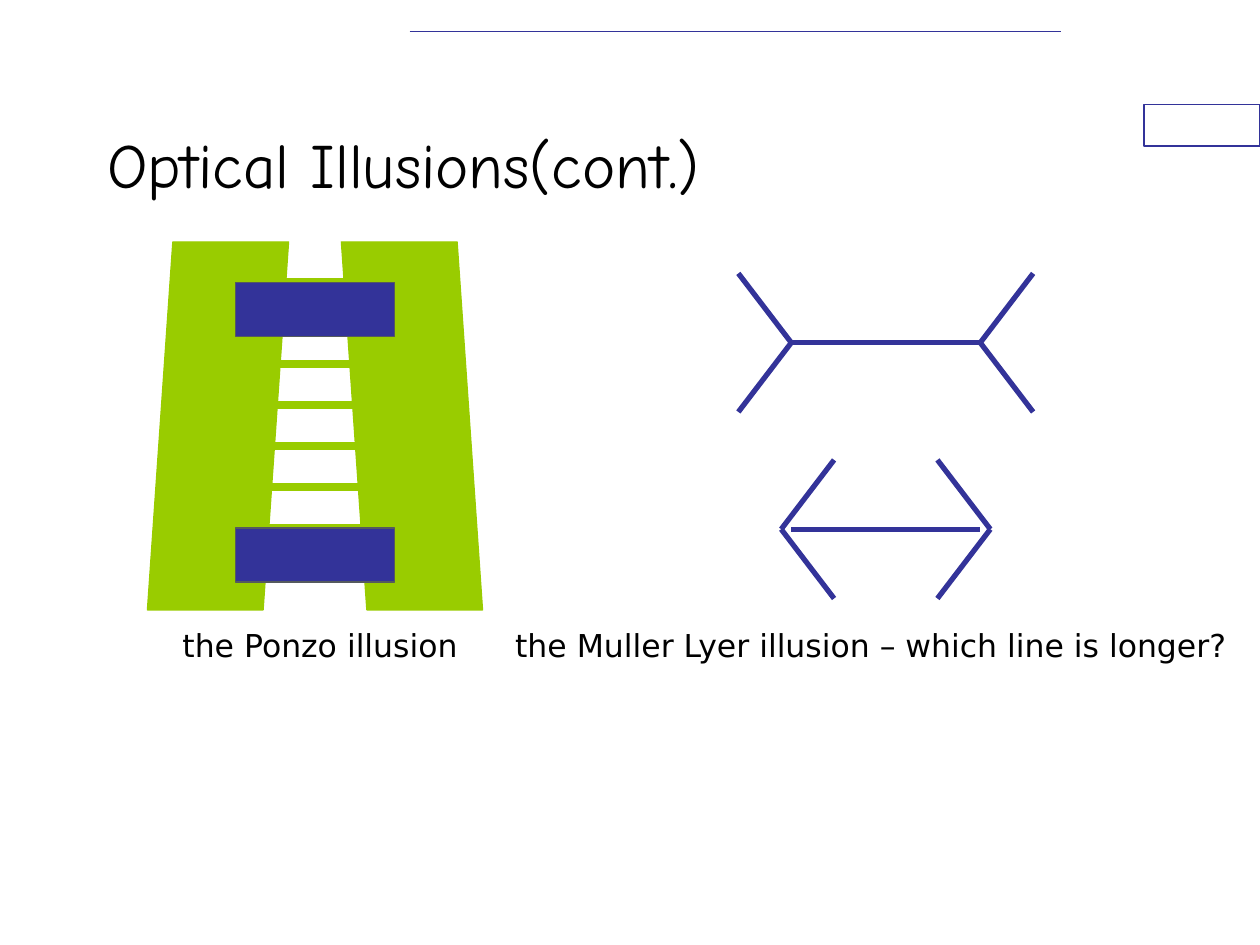
from dataclasses import dataclass
from typing import NamedTuple

from lxml.etree import SubElement
from pptx import Presentation
from pptx.dml.color import RGBColor
from pptx.enum.shapes import MSO_CONNECTOR as Connector, MSO_SHAPE as Preset
from pptx.enum.text import MSO_ANCHOR as Anchor, MSO_AUTO_SIZE as AutoSize, PP_ALIGN as Align
from pptx.oxml.ns import qn
from pptx.util import Inches, Pt


@dataclass(frozen=True)
class Theme:
    blue: str = "333399"
    green: str = "99CC00"
    edge: str = "555A5E"
    white: str = "FFFFFF"
    black: str = "000000"
    title_font: str = "Comic Neue"
    caption_font: str = "DejaVu Sans"
    title_size: int = 36
    caption_size: int = 18
    thin: float = 0.75
    rule: float = 1
    stroke: float = 3
    rung: float = 4.5


class Area(NamedTuple):
    """Place on a grid of 10 columns by 7.5 rows, one inch each."""
    column: float
    row: float
    columns: float
    rows: float

    def lengths(self) -> list[int]:
        return [Inches(value) for value in self]


class Rung(NamedTuple):
    step: int
    left: float
    right: float


class Arrow(NamedTuple):
    """Distances of fin tips and fin ends from the centre column."""
    row: float
    tip: float
    end: float


class Caption(NamedTuple):
    text: str
    area: Area


THEME = Theme()
TITLE_AREA = Area(0.75, 0.67, 7.5, 1.25)
TAB_AREA = Area(9.08, 0.83, 0.92, 0.33)

# Ponzo: rungs sit at whole steps below the first row
RAIL_COLUMNS = (1.17, 2.71)
RUNG_ROW, RUNG_PITCH = 2.24, 0.325
RUNGS = (
    Rung(7, 1.31, 3.55), Rung(6, 1.45, 3.55), Rung(5, 1.59, 3.41), Rung(4, 1.73, 3.27),
    Rung(3, 1.87, 3.13), Rung(2, 1.87, 3.13), Rung(0, 2.15, 2.85),
)
BAR_STEPS = (6, 0)

# Muller Lyer: equal shafts with fins pointing out or in
CENTRE, HALF_SHAFT, FIN_RISE = 7.03, 0.75, 0.55
ARROWS = (Arrow(2.72, 0.75, 1.17), Arrow(4.2, 0.83, 0.41))

CAPTIONS = (
    Caption("the Ponzo illusion", Area(1.35, 4.92, 2.4, 0.4)),
    Caption("the Muller Lyer illusion – which line is longer?", Area(3.99, 4.92, 5.99, 0.4)),
)


def rung_row(step: int) -> float:
    return RUNG_ROW + step * RUNG_PITCH


def set_text(box, text: str, font: str, size: int, formats: dict) -> None:
    frame = box.text_frame
    for name, value in formats.items():
        setattr(frame, name, value)
    para = frame.paragraphs[0]
    para.alignment = Align.LEFT
    span = para.add_run()
    span.text = text
    for name, value in {"name": font, "size": Pt(size), "bold": False}.items():
        setattr(span.font, name, value)
    span.font.color.rgb = RGBColor.from_string(THEME.black)


def draw_shape(page, preset: Preset, area: Area, fill: str, line: str):
    shape = page.shapes.add_shape(preset, *area.lengths())
    shape.shadow.inherit = False
    shape.fill.solid()
    shape.fill.fore_color.rgb = RGBColor.from_string(fill)
    shape.line.color.rgb = RGBColor.from_string(line)
    shape.line.width = Pt(THEME.thin)
    return shape


def draw_line(page, start: tuple[float, float], stop: tuple[float, float],
              color: str, width: float) -> None:
    ends = [Inches(value) for value in (*start, *stop)]
    line = page.shapes.add_connector(Connector.STRAIGHT, *ends)
    line.line.color.rgb = RGBColor.from_string(color)
    line.line.width = Pt(width)
    SubElement(line._element.spPr, qn("a:effectLst"))


def draw_ponzo(page) -> None:
    for column in RAIL_COLUMNS:
        area = Area(column, 1.92, 1.12, 2.92)
        rail = draw_shape(page, Preset.PARALLELOGRAM, area, THEME.green, THEME.green)
        rail.adjustments[0] = 0.18
        if column == RAIL_COLUMNS[-1]:
            rail._element.spPr.xfrm.set("flipH", "1")
    for rung in RUNGS:
        row = rung_row(rung.step)
        draw_line(page, (rung.left, row), (rung.right, row), THEME.green, THEME.rung)
    for step in BAR_STEPS:
        area = Area(1.87, rung_row(step), 1.26, 0.43)
        draw_shape(page, Preset.RECTANGLE, area, THEME.blue, THEME.edge)


def draw_arrow(page, arrow: Arrow) -> None:
    for side in (1, -1):
        tip = (CENTRE + side * arrow.tip, arrow.row)
        for rise in (-FIN_RISE, FIN_RISE):
            end = (CENTRE + side * arrow.end, arrow.row + rise)
            draw_line(page, tip, end, THEME.blue, THEME.stroke)
    draw_line(page, (CENTRE - HALF_SHAFT, arrow.row), (CENTRE + HALF_SHAFT, arrow.row),
              THEME.blue, THEME.stroke)


def main() -> None:
    deck = Presentation()
    deck.slide_width, deck.slide_height = Inches(10), Inches(7.5)
    page = deck.slides.add_slide(deck.slide_layouts[5])

    # Page furniture
    draw_shape(page, Preset.RECTANGLE, TAB_AREA, THEME.white, THEME.blue)
    draw_line(page, (3.25, 0.25), (8.42, 0.25), THEME.blue, THEME.rule)

    # Title
    title = page.shapes.title
    title.left, title.top, title.width, title.height = TITLE_AREA.lengths()
    set_text(title, "Optical Illusions(cont.)", THEME.title_font, THEME.title_size,
             {"vertical_anchor": Anchor.MIDDLE, "auto_size": AutoSize.NONE, "word_wrap": True})

    # Illusions
    draw_ponzo(page)
    for arrow in ARROWS:
        draw_arrow(page, arrow)

    # Captions
    for caption in CAPTIONS:
        box = page.shapes.add_textbox(*caption.area.lengths())
        set_text(box, caption.text, THEME.caption_font, THEME.caption_size,
                 {"auto_size": AutoSize.SHAPE_TO_FIT_TEXT, "word_wrap": False})

    deck.save("out.pptx")


if __name__ == "__main__":
    main()
